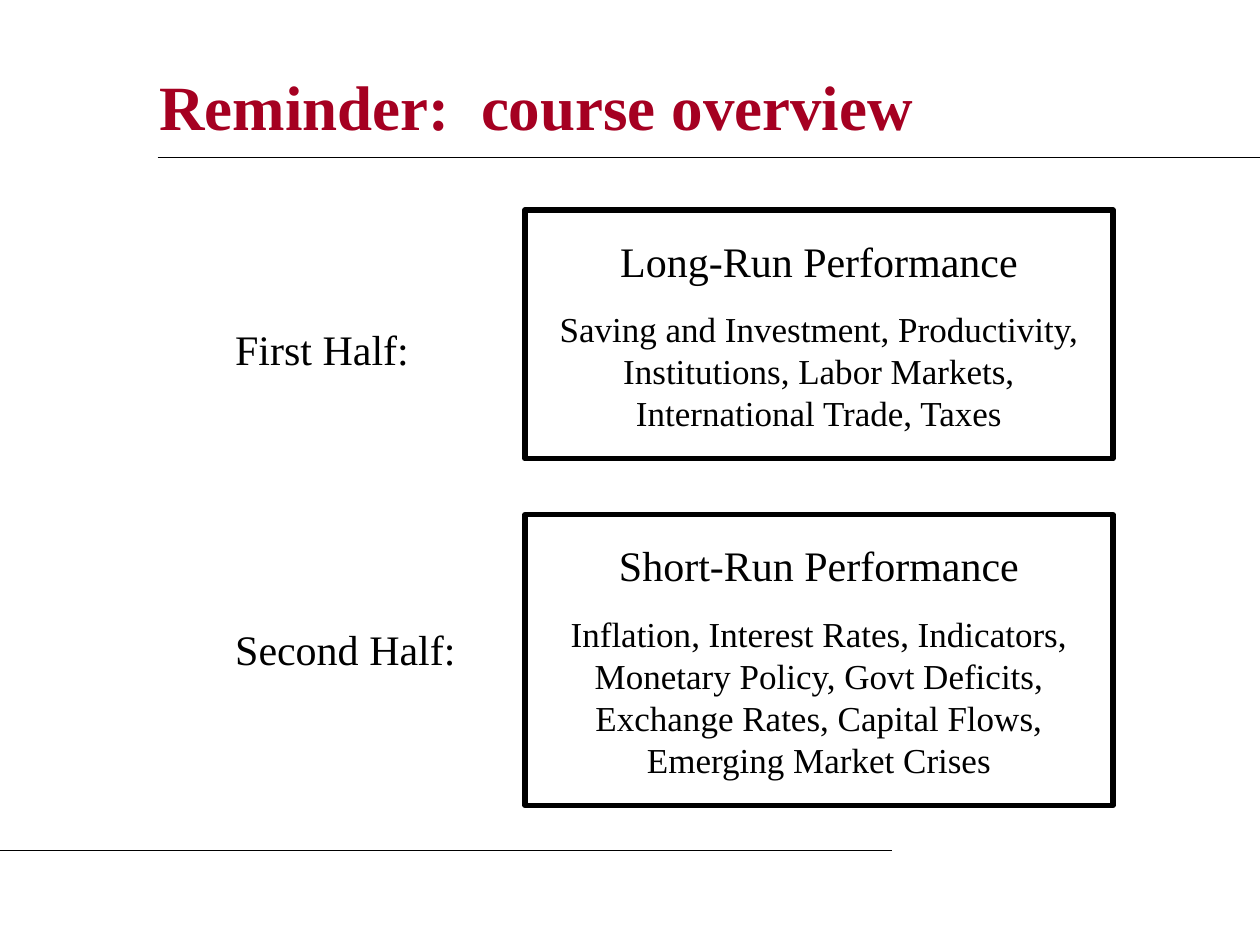
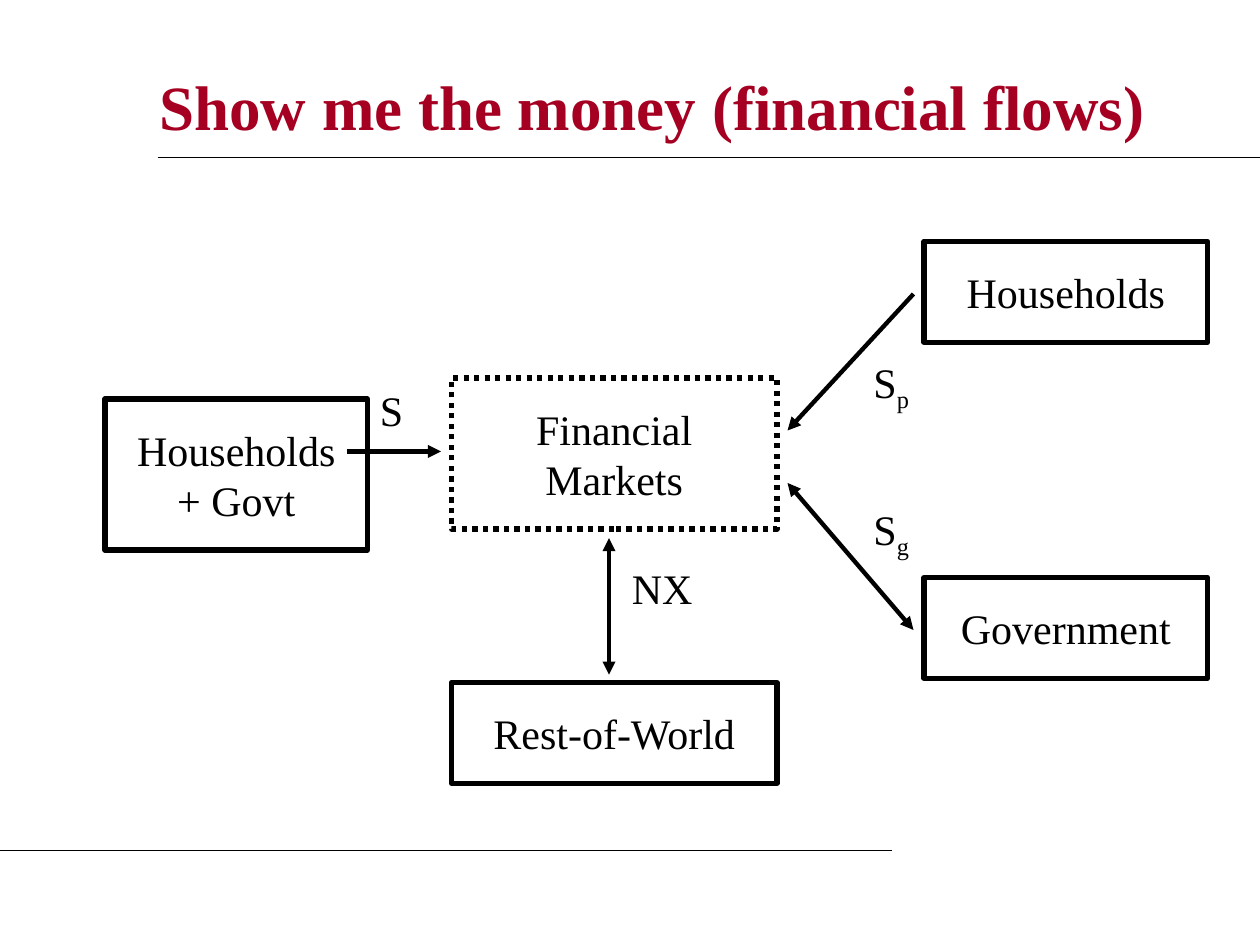
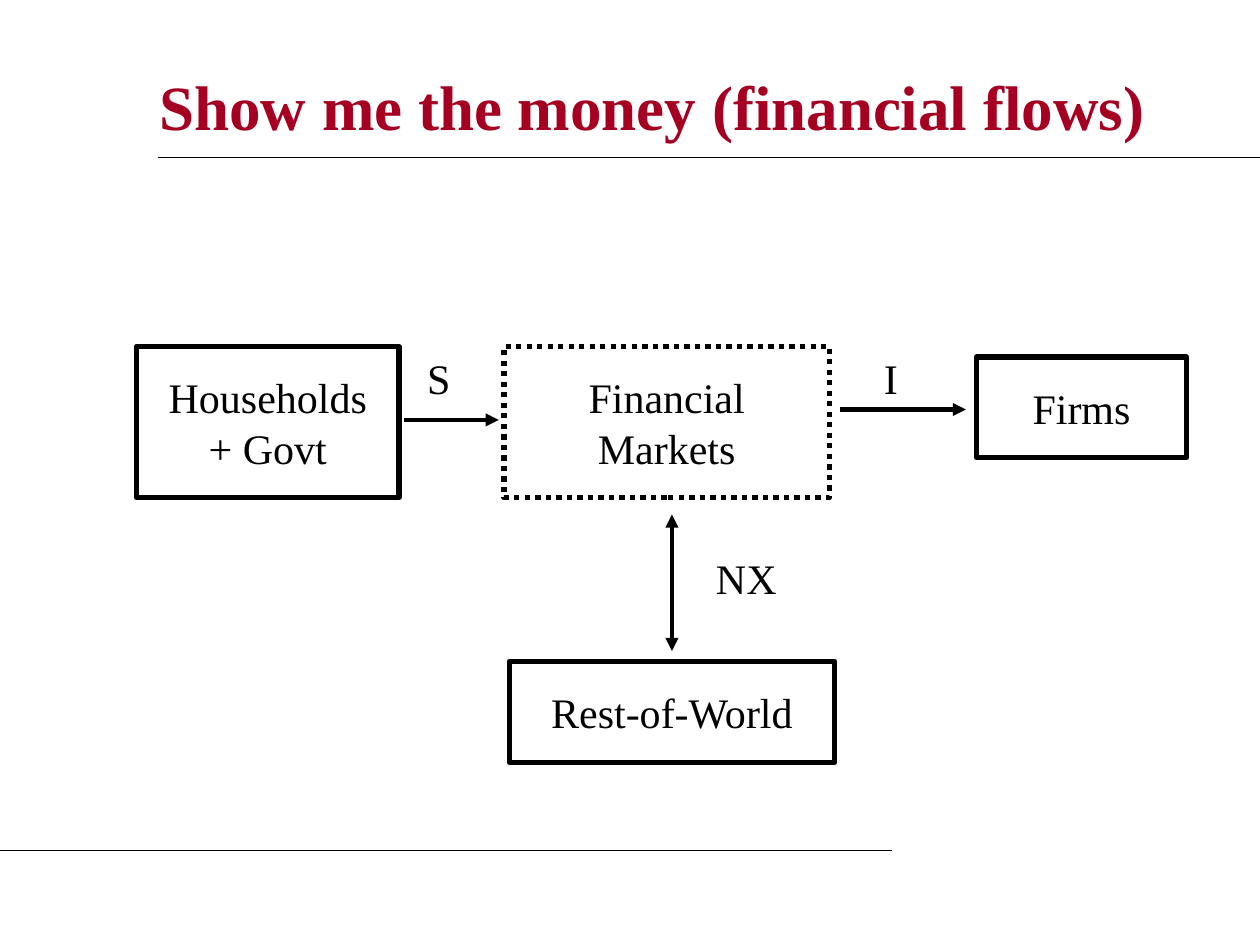
from dataclasses import dataclass

from lxml.etree import SubElement
from pptx import Presentation
from pptx.dml.color import RGBColor
from pptx.enum.dml import MSO_LINE
from pptx.enum.shapes import MSO_CONNECTOR, MSO_SHAPE
from pptx.enum.text import MSO_ANCHOR, PP_ALIGN
from pptx.oxml.ns import qn
from pptx.util import Inches, Pt


@dataclass(frozen=True)
class Theme:
    font: str = "Times New Roman"
    ink: RGBColor = RGBColor(0, 0, 0)
    red: RGBColor = RGBColor(0xA5, 0, 0x21)
    head: int = 36
    body: int = 24
    small: int = 20
    gap: float = 12.5
    lead: float = 1.2
    rule: float = 0.75
    frame: float = 3
    arrow: float = 2.5


theme = Theme()
deck = Presentation()
deck.slide_width, deck.slide_height = Inches(10), Inches(7.5)
# The grid has 120 columns and 90 rows of square cells.
cell = deck.slide_width / 120
row = 4.8  # one line of body text; also the padding above and below it


def write(slide, text, place, frame=None, pad=2.4, size=theme.body, color=theme.ink):
    """Put text at a grid place; frame is the dash of a box, "_" starts a subscript."""
    spot = [round(n * cell) for n in place]
    if frame:
        item = slide.shapes.add_shape(MSO_SHAPE.RECTANGLE, *spot)
        item.shadow.inherit = False
        item.fill.background()
        item.line.color.rgb = theme.ink
        item.line.width = Pt(theme.frame)
        item.line.dash_style = frame
    else:
        item = slide.shapes.add_textbox(*spot)
    area = item.text_frame
    area.word_wrap = True
    title = size == theme.head
    area.vertical_anchor = MSO_ANCHOR.MIDDLE if title else MSO_ANCHOR.TOP
    area.margin_left = area.margin_right = round(pad * cell)
    area.margin_top = area.margin_bottom = round((pad if pad > 2 else pad / 2) * cell)
    base, _, sub = text.partition("_")
    area.text = base
    if sub:
        run = area.paragraphs[0].add_run()
        run.text = sub
        run.font._element.set("baseline", "-25000")
    for n, para in enumerate(area.paragraphs):
        points = theme.small if n else size
        para.alignment = PP_ALIGN.CENTER if frame else PP_ALIGN.LEFT
        para.line_spacing = Pt(points * theme.lead)
        if n:
            para.space_before = Pt(theme.gap)
        for run in para.runs:
            run.font.name = theme.font
            run.font.size = Pt(points)
            run.font.bold = title
            run.font.color.rgb = color


def link(slide, ends, width=theme.arrow, tips=("tailEnd",)):
    """Draw a line between two grid points, with an arrowhead at each tip."""
    spot = [round(n * cell) for n in ends]
    item = slide.shapes.add_connector(MSO_CONNECTOR.STRAIGHT, *spot)
    item.line.color.rgb = theme.ink
    item.line.width = Pt(width)
    stroke = item.line._get_or_add_ln()
    for tip in tips:
        SubElement(stroke, qn("a:" + tip), type="triangle")
    SubElement(item._element.spPr, qn("a:effectLst"))


solid, dots = MSO_LINE.SOLID, MSO_LINE.ROUND_DOT
both = ("headEnd", "tailEnd")
flows = "Show me the money (financial flows)"

# Shared title and rules
slides = []
for title in ("Reminder:  course overview", flows, flows):
    slide = deck.slides.add_slide(deck.slide_layouts[6])
    write(slide, title, (14, 5, 97, 10), pad=1.2, size=theme.head, color=theme.red)
    for ends in ((15, 15, 120, 15), (0, 81, 85, 81)):
        link(slide, ends, theme.rule, ())
    slides.append(slide)

# Course overview
halves = (
    ("First Half:", 28.4, 23, 20, 23.7, "Long-Run Performance\n"
     "Saving and Investment, Productivity, Institutions, Labor Markets, "
     "International Trade, Taxes"),
    ("Second Half:", 57, 28, 49, 27.7, "Short-Run Performance\n"
     "Inflation, Interest Rates, Indicators, Monetary Policy, Govt Deficits, "
     "Exchange Rates, Capital Flows, Emerging Market Crises"),
)
for label, y, wide, top, tall, topics in halves:
    write(slides[0], topics, (50, top, 56, tall), solid)
    write(slides[0], label, (20, y, wide, 2 * row))

# Financial flows: boxes, arrows and labels of each slide
saver, market, world = "Households\v+ Govt", "Financial Markets", "Rest-of-World"
charts = (
    (
        ((saver, 10, 38, 25, 2, solid), (world, 43, 65, 31, 1, solid),
         ("Government", 88, 55, 27, 1, solid), (market, 43, 36, 31, 2, dots),
         ("Households", 88, 23, 27, 1, solid)),
        (((33, 43, 42, 43), both[1:]), ((87, 28, 75, 41), both[1:]),
         ((75, 46, 87, 60), both), ((58, 51.25, 58, 64.25), both)),
        (("S", 35, 36, 5), ("S_p", 82, 34, 8), ("NX", 59, 53, 9), ("S_g", 82, 48, 8)),
    ),
    (
        ((saver, 13, 33, 25, 2, solid), (world, 48.5, 63, 31, 1, solid),
         (market, 48, 33, 31, 2, dots), ("Firms", 93, 34, 20, 1, solid)),
        (((38.5, 40, 47.5, 40), both[1:]), ((80, 39, 92, 39), both[1:]),
         ((64, 49, 64, 62), both)),
        (("S", 39.5, 33, 5), ("I", 83, 33, 6), ("NX", 67, 52, 9)),
    ),
)
for slide, (boxes, arrows, labels) in zip(slides[1:], charts):
    for text, x, y, wide, lines, dash in boxes:
        write(slide, text, (x, y, wide, (lines + 1) * row), dash)
    for ends, tips in arrows:
        link(slide, ends, tips=tips)
    for text, x, y, wide in labels:
        write(slide, text, (x, y, wide, 6), pad=1.2)

deck.save("out.pptx")
